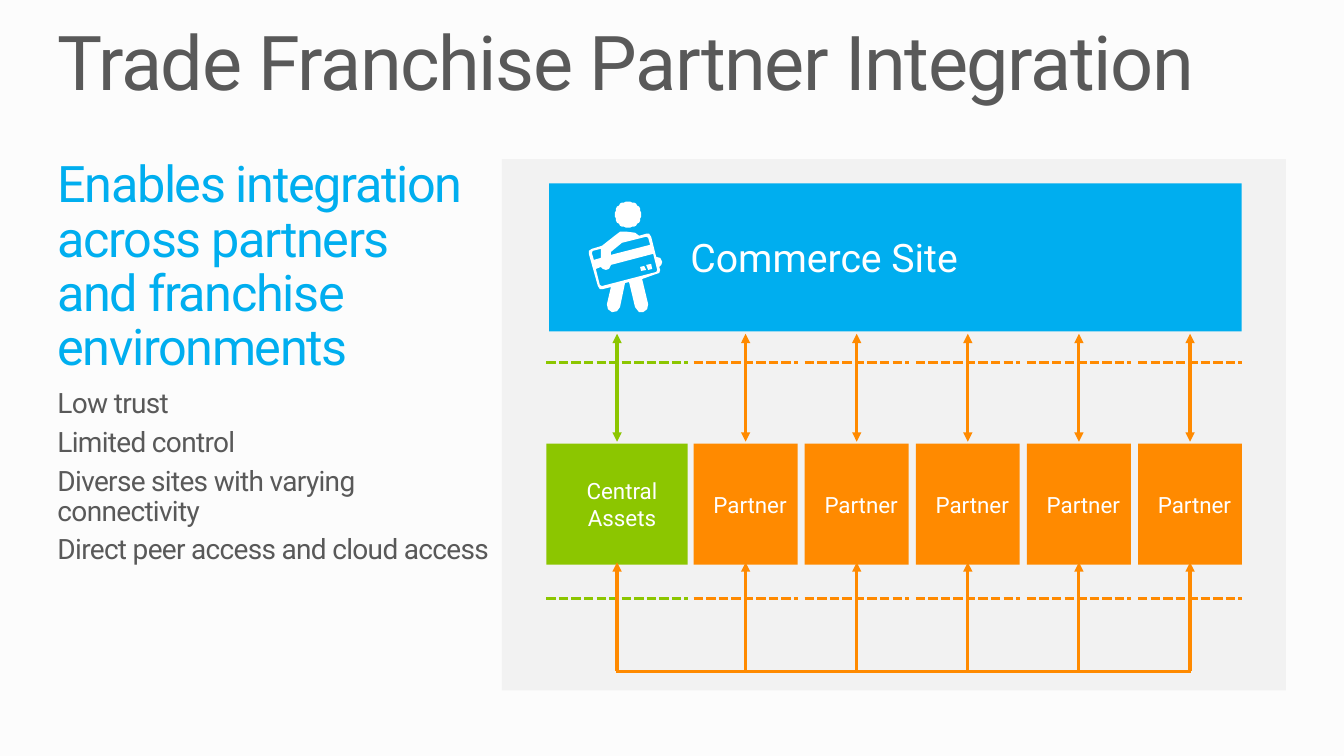
from math import cos, pi, sin

from lxml.etree import SubElement
from pptx import Presentation
from pptx.dml.color import RGBColor
from pptx.enum.dml import MSO_LINE
from pptx.enum.shapes import MSO_CONNECTOR, MSO_SHAPE
from pptx.enum.text import MSO_ANCHOR, PP_ALIGN
from pptx.oxml.ns import qn
from pptx.util import Cm, Pt

COLORS = {
    "background": "FCFCFC",
    "panel": "F2F2F2",
    "text": "595959",
    "blue": "00AEEF",
    "orange": "FF8A00",
    "green": "8CC600",
    "white": "FFFFFF",
}

# Outlines of the shopper icon, on a grid 73 units wide
HEAD = [(39 + 13 * cos(i * pi / 20), 13 + 13 * sin(i * pi / 20)) for i in range(40)]
BODY = [
    (70, 65), (71, 68), (70, 71), (67, 72), (53, 77), (59, 102), (58, 107),
    (54, 110), (50, 110), (46, 105), (40, 80), (36, 81), (31, 105), (28, 109),
    (23, 110), (19, 107), (18, 102), (22, 85), (14, 87), (11, 87), (9, 84),
    (0, 52), (0, 49), (3, 47), (13, 44), (27, 33), (31, 30), (38, 30), (46, 31),
    (50, 34), (57, 32), (60, 32), (62, 35), (67, 55), (71, 56), (73, 60), (72, 63),
]
CARD_TOP = [(22, 53), (61, 43), (59, 36), (57, 35), (33, 41), (22, 50)]
CARD_CORNER = [(5, 58), (12, 56), (12, 47), (4, 49), (3, 51)]
CARD_FACE = [
    (68, 68), (64, 52), (22, 63), (20, 67), (17, 68), (14, 67), (12, 65),
    (7, 67), (11, 83), (13, 84), (67, 70),
]
CHIPS = [
    [(62, 62), (63, 67), (59, 68), (57, 63)],
    [(55, 64), (57, 68), (52, 69), (51, 65)],
]
SHOPPER = [HEAD, BODY, CARD_TOP, CARD_CORNER, CARD_FACE, *CHIPS]


class SlideBuilder:
    font = "Roboto"
    line_width = Pt(2.25)

    def __init__(self, slide):
        self.slide = slide
        slide.background.fill.solid()
        slide.background.fill.fore_color.rgb = self.color("background")

    def color(self, name):
        return RGBColor.from_string(COLORS[name])

    def add_run(self, paragraph, text, size, color, spacing=0):
        run = paragraph.add_run()
        run.text = text
        run.font.name = self.font
        run.font.size = Pt(size)
        run.font.color.rgb = self.color(color)
        if spacing:
            run.font._element.set("spc", str(round(spacing * 100)))

    def text_box(self, left, top, width, height, paragraphs):
        """Each paragraph is (lines, size, color, spacing, space after)."""
        box = self.slide.shapes.add_textbox(Cm(left), Cm(top), Cm(width), Cm(height))
        frame = box.text_frame
        frame.word_wrap = True
        frame.margin_left = frame.margin_right = Cm(0)
        frame.margin_top = frame.margin_bottom = Cm(0)
        for index, (lines, size, color, spacing, after) in enumerate(paragraphs):
            paragraph = frame.add_paragraph() if index else frame.paragraphs[0]
            paragraph.line_spacing = 0.9
            paragraph.space_after = Pt(after)
            for number, line in enumerate(lines):
                if number:
                    paragraph.add_line_break()
                self.add_run(paragraph, line, size, color, spacing)

    def paint(self, shape, color):
        shape.shadow.inherit = False
        shape.fill.solid()
        shape.fill.fore_color.rgb = self.color(color)
        shape.line.fill.background()

    def block(self, left, top, width, height, color, text="", size=16,
              indent=0.5, align=PP_ALIGN.LEFT):
        shape = self.slide.shapes.add_shape(
            MSO_SHAPE.RECTANGLE, Cm(left), Cm(top), Cm(width), Cm(height))
        self.paint(shape, color)
        if text:
            frame = shape.text_frame
            frame.word_wrap = True
            frame.vertical_anchor = MSO_ANCHOR.MIDDLE
            frame.margin_left, frame.margin_right = Cm(indent), Cm(0.25)
            frame.margin_top = frame.margin_bottom = Cm(0.13)
            frame.paragraphs[0].alignment = align
            self.add_run(frame.paragraphs[0], text, size, "white")

    def line(self, x1, y1, x2, y2, color, dashed=False, arrows=()):
        connector = self.slide.shapes.add_connector(
            MSO_CONNECTOR.STRAIGHT, Cm(x1), Cm(y1), Cm(x2), Cm(y2))
        connector.line.width = self.line_width
        connector.line.color.rgb = self.color(color)
        if dashed:
            connector.line.dash_style = MSO_LINE.SQUARE_DOT
        properties = connector._element.spPr
        for end in arrows:
            SubElement(properties.find(qn("a:ln")), qn(f"a:{end}"), type="triangle")
        SubElement(properties, qn("a:effectLst"))

    def icon(self, left, top, unit, outlines, color):
        builder = self.slide.shapes.build_freeform(*outlines[0][0], scale=unit)
        for index, points in enumerate(outlines):
            if index:
                builder.move_to(*points[0])
            builder.add_line_segments(points[1:], close=True)
        self.paint(builder.convert_to_shape(Cm(left), Cm(top)), color)


def main():
    presentation = Presentation()
    presentation.slide_width, presentation.slide_height = Cm(33.87), Cm(19.05)
    slide = presentation.slides.add_slide(presentation.slide_layouts[6])
    builder = SlideBuilder(slide)

    # Title and text column
    builder.text_box(1.45, 0.64, 30.96, 2.08, [
        (["Trade Franchise Partner Integration"], 54, "text", -1, 0)])
    headline = ["Enables integration across partners ", "and franchise environments"]
    points = [
        "Low trust",
        "Limited control",
        "Diverse sites with varying connectivity",
        "Direct peer access and cloud access",
    ]
    builder.text_box(1.45, 4.01, 11, 10.34, [
        (headline, 36, "blue", -1, 9),
        *[([point], 20, "text", -0.5, 6) for point in points]])

    # Panel and commerce site
    builder.block(12.65, 4.01, 19.76, 13.39, "panel")
    builder.block(13.84, 4.62, 17.45, 3.73, "blue", "Commerce Site", 28, 3.56)

    # Central assets and five partners, each with its links
    partner_left, partner_pitch, partner_width = 17.48, 2.8, 2.62
    sites = [(13.77, 3.56, "green", "Central Assets", PP_ALIGN.CENTER)]
    sites += [(partner_left + i * partner_pitch, partner_width, "orange", "Partner",
               PP_ALIGN.LEFT) for i in range(5)]
    bus_y = 16.92
    for left, width, color, name, align in sites:
        center = left + width / 2
        builder.block(left, 11.18, width, 3.05, color, name, align=align)
        for boundary_y in (9.14, 15.09):
            builder.line(left, boundary_y, left + width, boundary_y, color, dashed=True)
        builder.line(center, 8.41, center, 11.13, color, arrows=("headEnd", "tailEnd"))
        builder.line(center, 14.17, center, bus_y, "orange", arrows=("headEnd",))

    # Bus that joins all sites
    builder.line(15.52, bus_y, 30.02, bus_y, "orange")

    # Shopper with a card
    builder.icon(14.84, 5.08, Cm(1.85) / 73, SHOPPER, "white")

    presentation.save("out.pptx")


if __name__ == "__main__":
    main()
